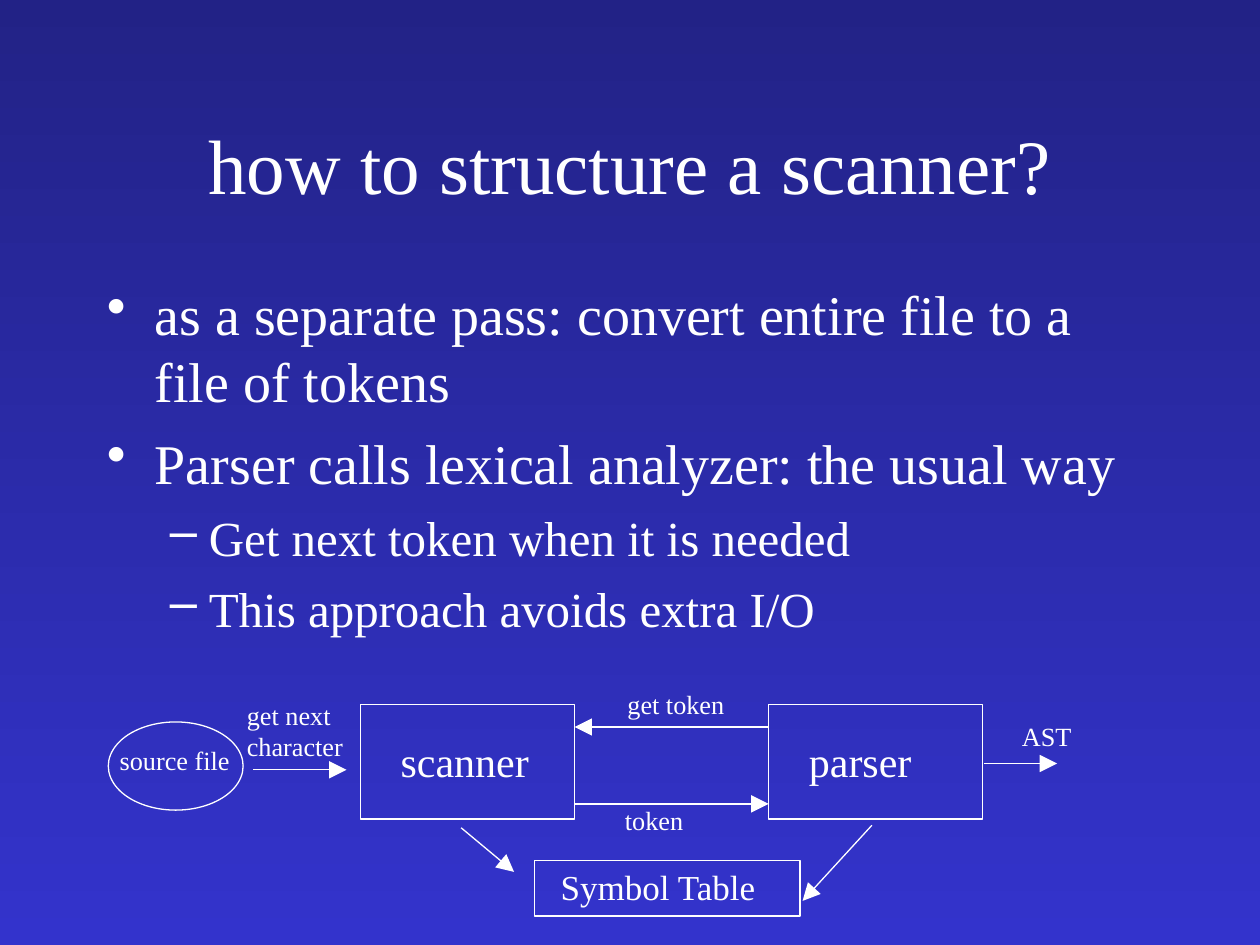
import pptx
import pptx.util
import pptx.dml.color
import pptx.enum.shapes
import pptx.enum.text
from lxml import etree

Inches = pptx.util.Inches
Pt = pptx.util.Pt
Shape = pptx.enum.shapes.MSO_SHAPE
Align = pptx.enum.text.PP_ALIGN
Anchor = pptx.enum.text.MSO_ANCHOR
COLORS = {"top": "222286", "bottom": "3333CC", "ink": "FFFFFF"}
INK = pptx.dml.color.RGBColor.from_string(COLORS["ink"])
FONT = "Times New Roman"

deck = pptx.Presentation()
deck.slide_width = Inches(10)
deck.slide_height = Inches(7.5)
page = deck.slides.add_slide(deck.slide_layouts[6])

backdrop = page.background.fill
backdrop.gradient()
backdrop.gradient_angle = 270
for stop, name, position in zip(backdrop.gradient_stops, ("top", "bottom"), (0, 1)):
    stop.color.rgb = pptx.dml.color.RGBColor.from_string(COLORS[name])
    stop.position = position


def write(paragraph, text, size, align=Align.LEFT, bullet=None, margin=0, hanging=0,
          before=0):
    paragraph.alignment = align
    paragraph.space_before = Pt(before)
    if bullet:
        properties = paragraph._p.get_or_add_pPr()
        properties.set("marL", str(Inches(margin)))
        properties.set("indent", str(-Inches(hanging)))
        etree.SubElement(properties, pptx.oxml.ns.qn("a:buChar"), char=bullet)
    span = paragraph.add_run()
    span.text = text
    span.font.name = FONT
    span.font.size = Pt(size)
    span.font.color.rgb = INK


title = page.shapes.add_textbox(Inches(0.75), Inches(0.67), Inches(8.5), Inches(1.25))
title.text_frame.word_wrap = True
title.text_frame.vertical_anchor = Anchor.MIDDLE
write(title.text_frame.paragraphs[0], "how to structure a scanner?", 44, align=Align.CENTER)

body = page.shapes.add_textbox(Inches(0.75), Inches(2.17), Inches(8.5), Inches(4.5))
body.text_frame.word_wrap = True
levels = [
    dict(size=32, bullet="•", margin=0.38, hanging=0.38),
    dict(size=28, bullet="–", margin=0.81, hanging=0.31),
]
points = [
    (0, "as a separate pass: convert entire file to a file of tokens"),
    (0, "Parser calls lexical analyzer: the usual way"),
    (1, "Get next token when it is needed"),
    (1, "This approach avoids extra I/O"),
]
for index, (level, text) in enumerate(points):
    paragraph = body.text_frame.add_paragraph() if index else body.text_frame.paragraphs[0]
    paragraph.level = level
    write(paragraph, text, before=8 - level if index else 0, **levels[level])

outlines = [
    (Shape.ROUNDED_RECTANGLE, 2.86, 5.59, 1.7, 0.91),
    (Shape.ROUNDED_RECTANGLE, 6.1, 5.59, 1.7, 0.91),
    (Shape.OVAL, 0.86, 5.73, 1.07, 0.7),
    (Shape.ROUNDED_RECTANGLE, 4.24, 6.83, 2.11, 0.44),
]
for kind, *place in outlines:
    outline = page.shapes.add_shape(kind, *map(Inches, place))
    outline.shadow.inherit = False
    outline.fill.background()
    outline.line.color.rgb = INK
    outline.line.width = Pt(0.75)
    if kind == Shape.ROUNDED_RECTANGLE:
        outline.adjustments[0] = 0

labels = [
    ("scanner", 24, 3.18, 5.84, 1.26, 0.4),
    ("parser", 24, 6.42, 5.84, 1.26, 0.4),
    ("get token", 15, 4.98, 5.46, 0.81, 0.25),
    ("token", 15, 4.96, 6.38, 0.85, 0.25),
    ("source file", 15, 0.95, 5.91, 0.88, 0.25),
    ("get next character", 15, 1.96, 5.55, 1.07, 0.5),
    ("AST", 15, 8.11, 5.72, 0.45, 0.25),
    ("Symbol Table", 20, 4.45, 6.87, 1.94, 0.33),
]
for text, size, *place in labels:
    box = page.shapes.add_textbox(*map(Inches, place))
    frame = box.text_frame
    frame.margin_left = frame.margin_right = frame.margin_top = frame.margin_bottom = 0
    frame.word_wrap = True
    write(frame.paragraphs[0], text, size)

arrows = [
    (6.1, 5.77, 4.56, 5.77),
    (4.56, 6.38, 6.1, 6.38),
    (3.66, 6.57, 4.08, 6.92),
    (7.81, 6.06, 8.39, 6.06),
    (6.92, 6.55, 6.37, 7.15),
    (2.01, 6.11, 2.75, 6.11),
]
for ends in arrows:
    arrow = page.shapes.add_connector(
        pptx.enum.shapes.MSO_CONNECTOR.STRAIGHT, *map(Inches, ends))
    arrow.line.color.rgb = INK
    arrow.line.width = Pt(0.75)
    etree.SubElement(arrow.line._get_or_add_ln(), pptx.oxml.ns.qn("a:tailEnd"),
                     type="triangle", w="lg", len="lg")
    etree.SubElement(arrow._element.spPr, pptx.oxml.ns.qn("a:effectLst"))

deck.save("out.pptx")
